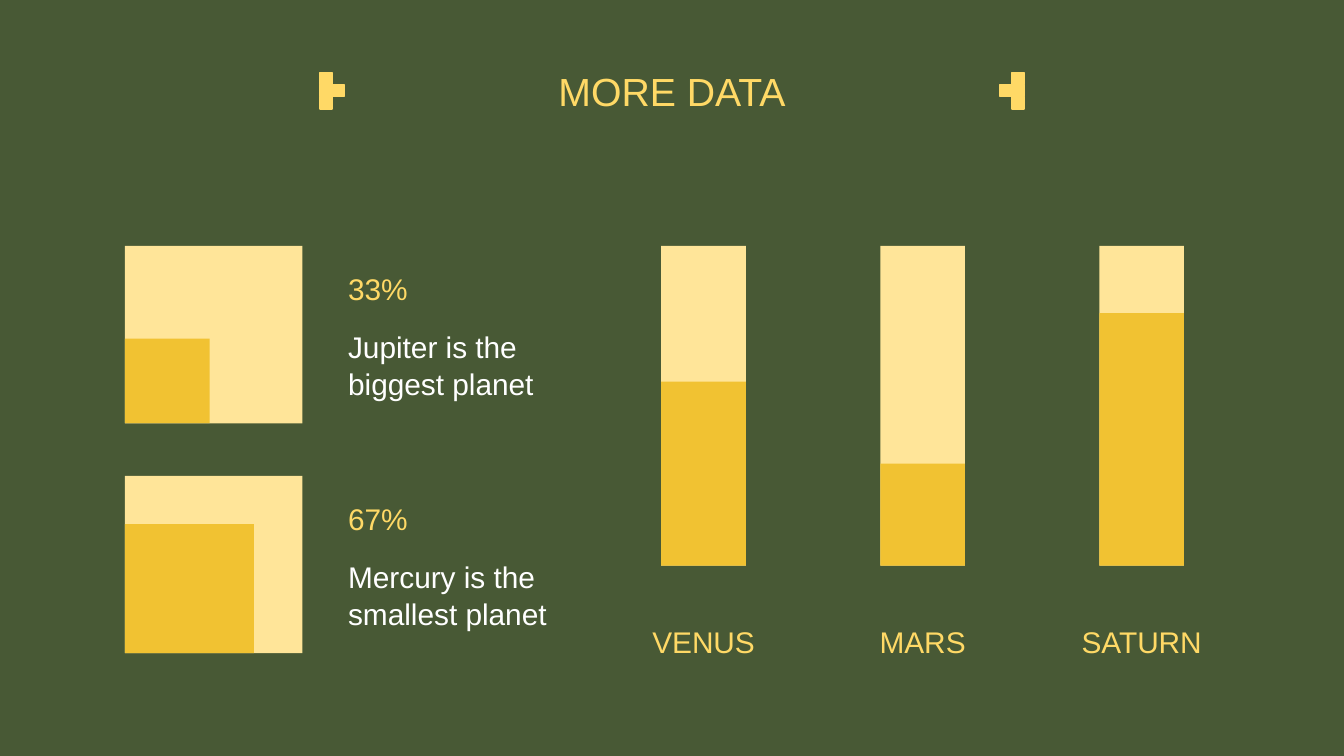
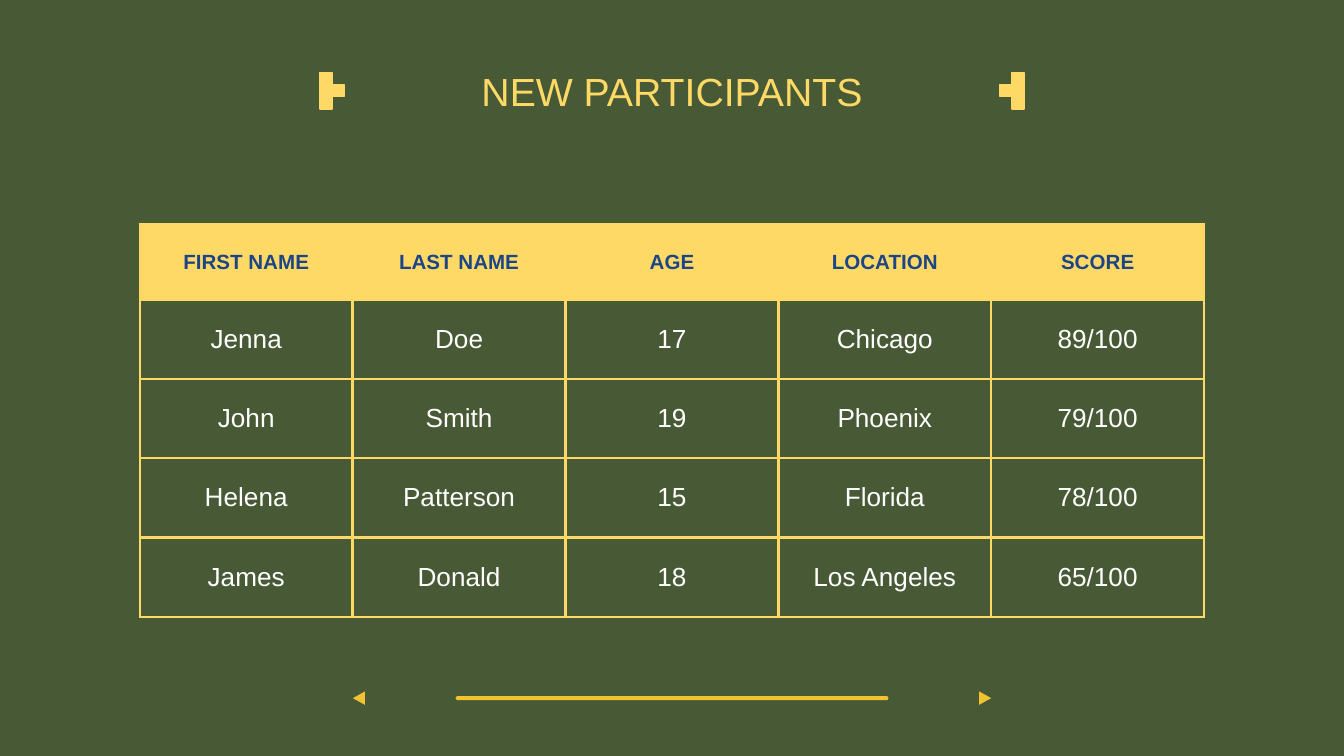
from lxml import etree
from pptx import Presentation
from pptx.dml.color import RGBColor
from pptx.enum import shapes, text
from pptx.oxml import ns
from pptx.util import Inches, Pt

GREEN = RGBColor(0x48, 0x59, 0x35)
YELLOW = RGBColor(0xFF, 0xD9, 0x66)
PALE = RGBColor(0xFF, 0xE5, 0x99)
GOLD = RGBColor(0xF1, 0xC2, 0x32)
NAVY = RGBColor(0x1C, 0x45, 0x87)
WHITE = RGBColor(0xFF, 0xFF, 0xFF)
FONT = "Arial"
RECT = shapes.MSO_SHAPE.RECTANGLE
LEFT, CENTER = text.PP_ALIGN.LEFT, text.PP_ALIGN.CENTER
TOP, BOTTOM = text.MSO_ANCHOR.TOP, text.MSO_ANCHOR.BOTTOM


def add_block(parent, kind, left, top, width, height, color, rotation=0):
    block = parent.shapes.add_shape(kind, Inches(left), Inches(top), Inches(width), Inches(height))
    block.shadow.inherit = False
    block.fill.solid()
    block.fill.fore_color.rgb = color
    block.line.fill.background()
    block.rotation = rotation
    return block


def write(holder, box, words, size, color, align=LEFT, anchor=TOP, spacing=1.05):
    holder.left, holder.top, holder.width, holder.height = [Inches(v) for v in box]
    frame = holder.text_frame
    frame.word_wrap = True
    frame.auto_size = text.MSO_AUTO_SIZE.NONE
    frame.vertical_anchor = anchor
    frame.margin_left = frame.margin_right = frame.margin_top = frame.margin_bottom = Inches(0.1)
    paragraph = frame.paragraphs[0]
    properties = paragraph._p.get_or_add_pPr()
    properties.set("marL", "0")
    properties.set("indent", "0")
    etree.SubElement(properties, ns.qn("a:buNone"))
    paragraph.alignment = align
    paragraph.line_spacing = spacing
    paragraph.space_before = Pt(0)
    run = paragraph.add_run()
    run.text = words
    run.font.name = FONT
    run.font.size = Pt(size)
    run.font.bold = False
    run.font.color.rgb = color


deck = Presentation()
deck.slide_width, deck.slide_height = Inches(10), Inches(5.625)
COMPARISON, TITLE_ONLY = deck.slide_layouts[4], deck.slide_layouts[5]

slides = []
for layout, heading in ((COMPARISON, "MORE DATA"), (TITLE_ONLY, "NEW PARTICIPANTS")):
    slide = deck.slides.add_slide(layout)
    slide.background.fill.solid()
    slide.background.fill.fore_color.rgb = GREEN
    write(slide.shapes.title, (0.34, 0.32, 9.32, 0.63), heading, 21, YELLOW, CENTER, BOTTOM, 1.0)
    pixel = 0.09
    for edge, inward in ((2.38, 1), (7.53, -1)):
        bracket = slide.shapes.add_group_shape()
        for column, row in ((0, 0), (0, 1), (0, 2), (inward, 1)):
            square = add_block(bracket, RECT, edge + column * pixel, 0.54 + row * pixel, pixel, pixel, YELLOW)
            square.line.color.rgb = YELLOW
            square.line.width = Pt(0.75)
    slides.append(slide)
data_slide, participants_slide = slides

facts = [
    ("33%", "Jupiter is the biggest planet", 0.63),
    ("67%", "Mercury is the smallest planet", 0.96),
]
square_side = 1.32
fact_holders = list(data_slide.placeholders)[1:]
for index, (share, fact, inner_side) in enumerate(facts):
    top = 1.83 + 1.71 * index
    gauge = data_slide.shapes.add_group_shape()
    add_block(gauge, RECT, 0.93, top, square_side, square_side, PALE)
    add_block(gauge, RECT, 0.93, top + square_side - inner_side, inner_side, inner_side, GOLD)
    share_holder, fact_holder = fact_holders[2 * index:2 * index + 2]
    write(share_holder, (2.49, top + 0.07, 1.79, 0.43), share, 16, YELLOW)
    write(fact_holder, (2.49, top + 0.5, 1.79, 0.76), fact, 16, WHITE)

bar_top, bar_height, bar_width = 1.83, 2.38, 0.63
for index, (planet, level) in enumerate((("VENUS", 1.37), ("MARS", 0.76), ("SATURN", 1.88))):
    left = 4.92 + 1.63 * index
    bar = data_slide.shapes.add_group_shape()
    add_block(bar, RECT, left, bar_top, bar_width, bar_height, PALE)
    add_block(bar, RECT, left, bar_top + bar_height - level, bar_width, level, GOLD)
    label = data_slide.shapes.add_textbox(0, 0, 0, 0)
    write(label, (left - 0.58, 4.53, 1.79, 0.43), planet, 16, YELLOW, CENTER)

participants = [
    ("FIRST NAME", "LAST NAME", "AGE", "LOCATION", "SCORE"),
    ("Jenna", "Doe", "17", "Chicago", "89/100"),
    ("John", "Smith", "19", "Phoenix", "79/100"),
    ("Helena", "Patterson", "15", "Florida", "78/100"),
    ("James", "Donald", "18", "Los Angeles", "65/100"),
]
roster = participants_slide.shapes.add_table(
    len(participants), len(participants[0]), Inches(1.04), Inches(1.67), Inches(7.92), Inches(2.91)
).table
roster.horz_banding = False
for row_index, entries in enumerate(participants):
    is_header = row_index == 0
    roster.rows[row_index].height = Inches(0.56 if is_header else 0.59)
    for column_index, entry in enumerate(entries):
        cell = roster.cell(row_index, column_index)
        cell.vertical_anchor = text.MSO_ANCHOR.MIDDLE
        cell.margin_left = cell.margin_right = cell.margin_top = cell.margin_bottom = Inches(0.1)
        cell_properties = cell._tc.get_or_add_tcPr()
        for side in ("lnL", "lnR", "lnT", "lnB"):
            border = etree.SubElement(cell_properties, ns.qn("a:" + side), w=str(Pt(1.5)))
            border_fill = etree.SubElement(border, ns.qn("a:solidFill"))
            etree.SubElement(border_fill, ns.qn("a:srgbClr"), val=str(YELLOW))
        if is_header:
            cell.fill.solid()
            cell.fill.fore_color.rgb = YELLOW
        else:
            cell.fill.background()
        paragraph = cell.text_frame.paragraphs[0]
        paragraph.alignment = CENTER
        run = paragraph.add_run()
        run.text = entry
        run.font.name = FONT
        run.font.size = Pt(11 if is_header else 14)
        run.font.bold = is_header
        run.font.color.rgb = NAVY if is_header else WHITE

track = add_block(participants_slide, shapes.MSO_SHAPE.ROUNDED_RECTANGLE, 3.39, 5.18, 3.22, 0.03, GOLD)
track.adjustments[0] = 0.5
for left, rotation in ((2.62, 270), (7.28, 90)):
    add_block(participants_slide, shapes.MSO_SHAPE.ISOSCELES_TRIANGLE, left, 5.15, 0.1, 0.09, GOLD, rotation)

deck.save("out.pptx")
